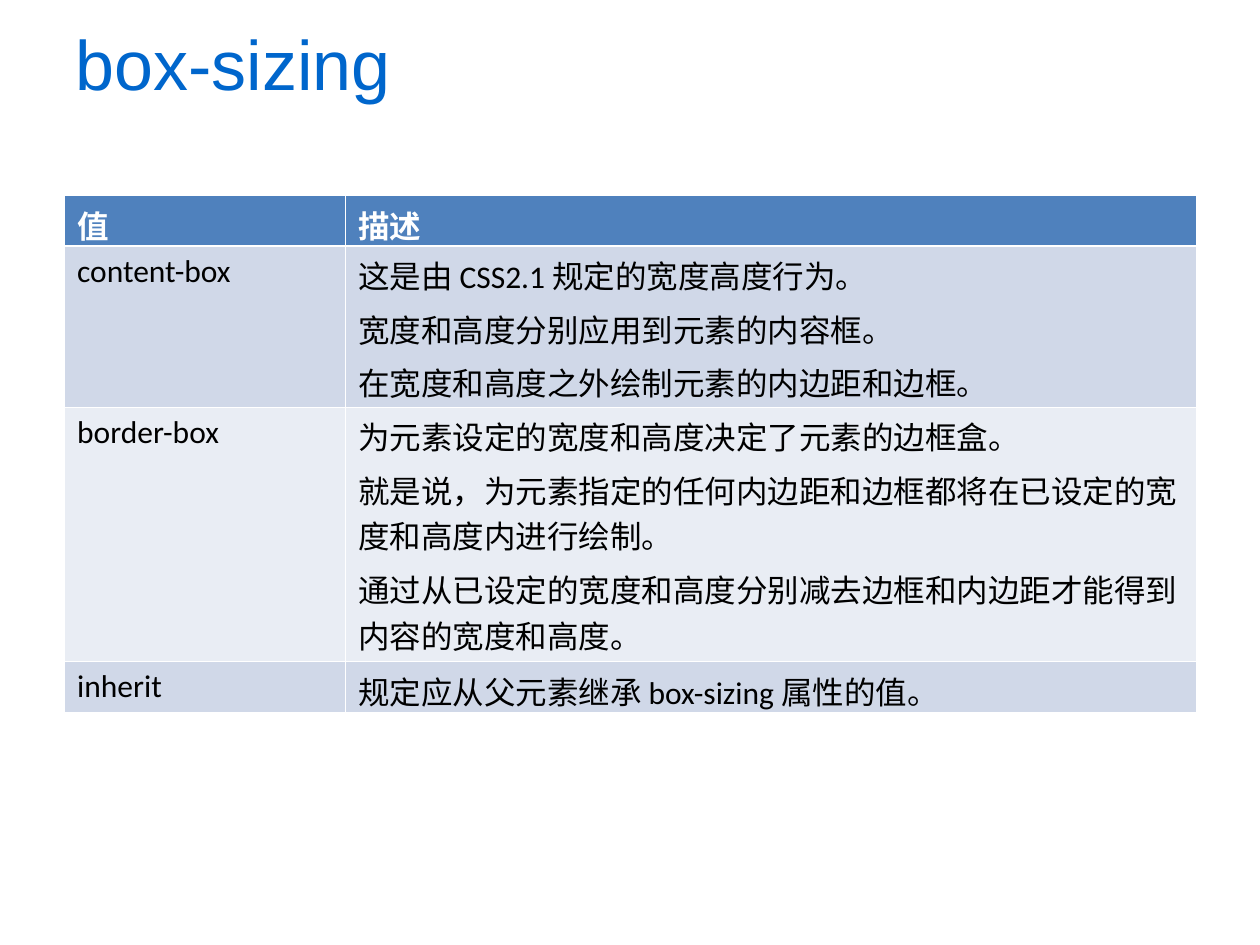
from lxml import etree
from pptx import Presentation
from pptx.dml.color import RGBColor
from pptx.enum.text import MSO_ANCHOR
from pptx.oxml.ns import qn
from pptx.util import Pt

MIDDLE = MSO_ANCHOR.MIDDLE

COLORS = {
    "title": "0066CC",
    "header": "4F81BD",
    "band_dark": "D0D8E8",
    "band_light": "E9EDF4",
    "white": "FFFFFF",
    "black": "000000",
}
THIN, THICK = 0.45, 1.47
COLUMN_WIDTHS = [160.5, 486]
ROW_HEIGHTS = [28.8, 92.2, 145.4, 28.8]
ROWS = [
    ("值", ["描述"]),
    ("content-box", [
        "这是由 CSS2.1 规定的宽度高度行为。",
        "宽度和高度分别应用到元素的内容框。",
        "在宽度和高度之外绘制元素的内边距和边框。",
    ]),
    ("border-box", [
        "为元素设定的宽度和高度决定了元素的边框盒。",
        "就是说，为元素指定的任何内边距和边框都将在已设定的宽度和高度内进行绘制。",
        "通过从已设定的宽度和高度分别减去边框和内边距才能得到内容的宽度和高度。",
    ]),
    ("inherit", ["规定应从父元素继承 box-sizing 属性的值。"]),
]


def rgb(name):
    return RGBColor.from_string(COLORS[name])


def format_runs(p, font, size, color, bold=False):
    for r in p.runs:
        r.font.name = font
        r.font.size = Pt(size)
        r.font.bold = bold
        r.font.color.rgb = rgb(color)


def add_title(slide, text):
    tf = slide.shapes.add_textbox(Pt(36), Pt(0), Pt(550.8), Pt(72)).text_frame
    tf.word_wrap = True
    tf.vertical_anchor = MIDDLE
    tf.text = text
    format_runs(tf.paragraphs[0], "Arial", 40, "title")


def set_borders(cell, top, bottom):
    """Draw white borders; must run before the cell is filled."""
    tc_pr = cell._tc.get_or_add_tcPr()
    for side, width in zip("LRTB", (THIN, THIN, top, bottom)):
        ln = etree.SubElement(tc_pr, qn(f"a:ln{side}"), w=str(Pt(width)))
        fill = etree.SubElement(ln, qn("a:solidFill"))
        etree.SubElement(fill, qn("a:srgbClr"), val=COLORS["white"])


def fill_cell(cell, text, row):
    is_header = row == 0
    set_borders(cell, THICK if row == 1 else THIN, THICK if is_header else THIN)
    band = "band_dark" if row % 2 else "band_light"
    cell.fill.solid()
    cell.fill.fore_color.rgb = rgb("header" if is_header else band)
    cell.text_frame.text = text
    for p in cell.text_frame.paragraphs:
        p.space_before = Pt(4.5)
        format_runs(p, "Calibri", 18, "white" if is_header else "black", is_header)


def add_value_table(slide):
    table = slide.shapes.add_table(
        len(ROWS), len(COLUMN_WIDTHS), Pt(36.9), Pt(111.6),
        Pt(sum(COLUMN_WIDTHS)), Pt(sum(ROW_HEIGHTS))).table
    for column, width in zip(table.columns, COLUMN_WIDTHS):
        column.width = Pt(width)
    for i, (value, description) in enumerate(ROWS):
        table.rows[i].height = Pt(ROW_HEIGHTS[i])
        fill_cell(table.cell(i, 0), value, i)
        fill_cell(table.cell(i, 1), "\n".join(description), i)


def main():
    prs = Presentation()
    prs.slide_width, prs.slide_height = Pt(720), Pt(540)
    slide = prs.slides.add_slide(prs.slide_layouts[6])
    add_title(slide, "box-sizing")
    add_value_table(slide)
    prs.save("out.pptx")


if __name__ == "__main__":
    main()
